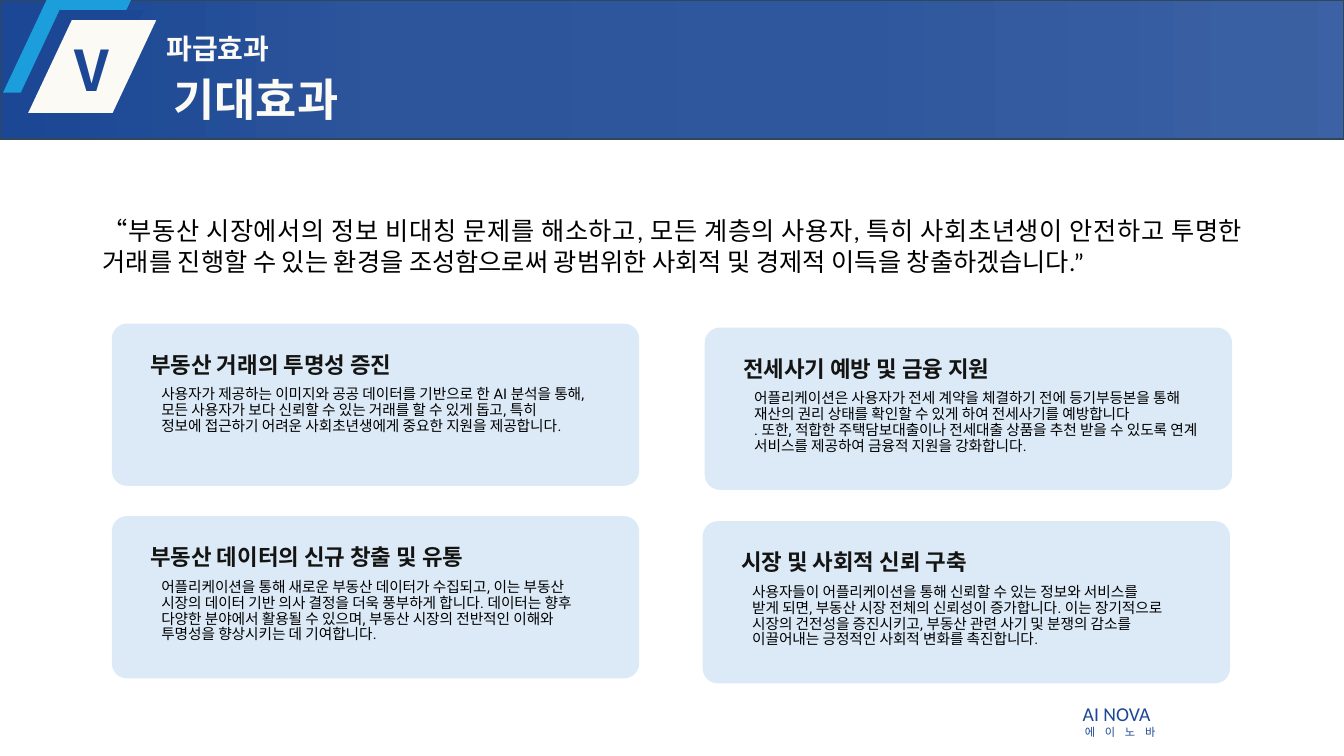
from lxml import etree
from pptx import Presentation
from pptx.dml.color import RGBColor
from pptx.enum.shapes import MSO_SHAPE
from pptx.enum.text import MSO_ANCHOR, MSO_AUTO_SIZE, PP_ALIGN
from pptx.oxml.ns import qn
from pptx.util import Inches, Pt

NAVY = "1B4794"
SKY = "1B9EDB"
CREAM = "FCFAF4"
PALE_BLUE = "DCEAF7"
INK = "141413"
BLACK = "000000"

# Left, top, heading, paragraphs
CARDS = [
    (1.11, 3.21, "부동산 거래의 투명성 증진", [
        "사용자가 제공하는 이미지와 공공 데이터를 기반으로 한 AI 분석을 통해, "
        "모든 사용자가 보다 신뢰할 수 있는 거래를 할 수 있게 돕고, 특히",
        "정보에 접근하기 어려운 사회초년생에게 중요한 지원을 제공합니다."]),
    (1.11, 5.12, "부동산 데이터의 신규 창출 및 유통", [
        "어플리케이션을 통해 새로운 부동산 데이터가 수집되고, 이는 부동산",
        "시장의 데이터 기반 의사 결정을 더욱 풍부하게 합니다. 데이터는 향후 "
        "다양한 분야에서 활용될 수 있으며, 부동산 시장의 전반적인 이해와",
        "투명성을 향상시키는 데 기여합니다."]),
    (6.99, 3.25, "전세사기 예방 및 금융 지원", [
        "어플리케이션은 사용자가 전세 계약을 체결하기 전에 등기부등본을 통해 "
        "재산의 권리 상태를 확인할 수 있게 하여 전세사기를 예방합니다",
        ". 또한, 적합한 주택담보대출이나 전세대출 상품을 추천 받을 수 있도록 "
        "연계 서비스를 제공하여 금융적 지원을 강화합니다."]),
    (6.97, 5.17, "시장 및 사회적 신뢰 구축", [
        "사용자들이 어플리케이션을 통해 신뢰할 수 있는 정보와 서비스를",
        "받게 되면, 부동산 시장 전체의 신뢰성이 증가합니다. 이는 장기적으로 "
        "시장의 건전성을 증진시키고, 부동산 관련 사기 및 분쟁의 감소를",
        "이끌어내는 긍정적인 사회적 변화를 촉진합니다."]),
]


def color(hex_value):
    return RGBColor.from_string(hex_value)


def add_block(slide, kind, box, fill, adjustment=None):
    block = slide.shapes.add_shape(kind, *map(Inches, box))
    block.shadow.inherit = False
    block.fill.solid()
    block.fill.fore_color.rgb = color(fill)
    block.line.fill.background()
    if adjustment is not None:
        block.adjustments[0] = adjustment
    return block


def add_text(slide, box, paragraphs, font, size, ink, bold=False,
             align=PP_ALIGN.LEFT, spacing=1.0, insets=(0.04, 0), grow=True,
             anchor=MSO_ANCHOR.TOP):
    frame = slide.shapes.add_textbox(*map(Inches, box)).text_frame
    frame.word_wrap = True
    frame.auto_size = MSO_AUTO_SIZE.SHAPE_TO_FIT_TEXT if grow else MSO_AUTO_SIZE.NONE
    frame.vertical_anchor = anchor
    frame.margin_left = frame.margin_right = Inches(insets[0])
    frame.margin_top = frame.margin_bottom = Inches(insets[1])
    frame.text = "\n".join(paragraphs)
    for paragraph in frame.paragraphs:
        paragraph.alignment = align
        paragraph.line_spacing = spacing
        paragraph.font.name = font
        paragraph.font.size = Pt(size)
        paragraph.font.bold = bold
        paragraph.font.color.rgb = color(ink)
    return frame


def fade_fill(block, hex_value, stops):
    """Gradient of one colour, given as (position %, opacity %) stops."""
    block.fill.gradient()
    block.fill.gradient_angle = 180
    stop_list = block.fill._fill._gradFill.find(qn("a:gsLst"))
    for old_stop in list(stop_list):
        stop_list.remove(old_stop)
    for position, opacity in stops:
        stop = etree.SubElement(stop_list, qn("a:gs"), pos=str(position * 1000))
        tint = etree.SubElement(stop, qn("a:srgbClr"), val=hex_value)
        etree.SubElement(tint, qn("a:alpha"), val=str(opacity * 1000))


def add_header(slide):
    banner = add_block(slide, MSO_SHAPE.RECTANGLE, (0, 0, 13.33, 1.38), NAVY)
    fade_fill(banner, NAVY, [(0, 85), (34, 90), (74, 92), (83, 95), (100, 100)])
    banner.line.color.rgb = color("2F4857")
    banner.line.width = Pt(1)

    # Stacked section badge
    for left, top, fill in [(0.03, 0, SKY), (0.16, 0.1, NAVY), (0.28, 0.2, CREAM)]:
        add_block(slide, MSO_SHAPE.PARALLELOGRAM, (left, top, 1.27, 0.92), fill, 0.47)
    add_text(slide, (0.29, 0.35, 1.25, 0.67), ["V"], "Noto Sans CJK KR", 40, NAVY,
             bold=True, align=PP_ALIGN.CENTER, insets=(0, 0))

    # Section name and title
    add_text(slide, (1.65, 0.31, 6.3, 0.34), ["파급효과"], "Lato", 20, CREAM,
             bold=True, insets=(0, 0))
    add_text(slide, (1.64, 0.64, 10.9, 0.74), ["기대효과"], "Lato", 32, CREAM,
             bold=True, spacing=0.9, insets=(0.08, 0.04), grow=False,
             anchor=MSO_ANCHOR.MIDDLE)


def add_card(slide, left, top, heading, paragraphs):
    add_block(slide, MSO_SHAPE.ROUNDED_RECTANGLE, (left, top, 5.23, 1.61),
              PALE_BLUE, 0.093)
    add_text(slide, (left + 0.34, top + 0.3, 3.84, 0.24), [heading], "Lato", 16,
             INK, bold=True, spacing=0.9)
    add_text(slide, (left + 0.45, top + 0.63, 4.55, 0.59), paragraphs, "Roboto",
             10.5, BLACK, spacing=0.9, grow=False)


def add_footer(slide):
    add_text(slide, (10.5, 6.96, 1.15, 0.24), ["AI NOVA"], "Calibri", 14, NAVY,
             align=PP_ALIGN.CENTER)
    team = add_text(slide, (10.64, 7.2, 0.94, 0.13), ["에이노바"], "Calibri", 8, NAVY,
                    align=PP_ALIGN.CENTER)
    # Letter spacing of 7 pt
    team.paragraphs[0].runs[0].font._element.set("spc", "700")


def main():
    presentation = Presentation()
    presentation.slide_width = Inches(13.33)
    presentation.slide_height = Inches(7.5)
    slide = presentation.slides.add_slide(presentation.slide_layouts[6])

    add_footer(slide)
    add_header(slide)
    for card in CARDS:
        add_card(slide, *card)

    # Vision statement
    add_text(slide, (0.92, 2.09, 11.5, 0.71), [
        "“부동산 시장에서의 정보 비대칭 문제를 해소하고, 모든 계층의 사용자, "
        "특히 사회초년생이 안전하고 투명한 거래를 진행할 수 있는 환경을 조성함으로써 "
        "광범위한 사회적 및 경제적 이득을 창출하겠습니다.”"],
        "Calibri", 18, BLACK, align=PP_ALIGN.JUSTIFY, insets=(0.1, 0.05))

    presentation.save("out.pptx")


if __name__ == "__main__":
    main()
